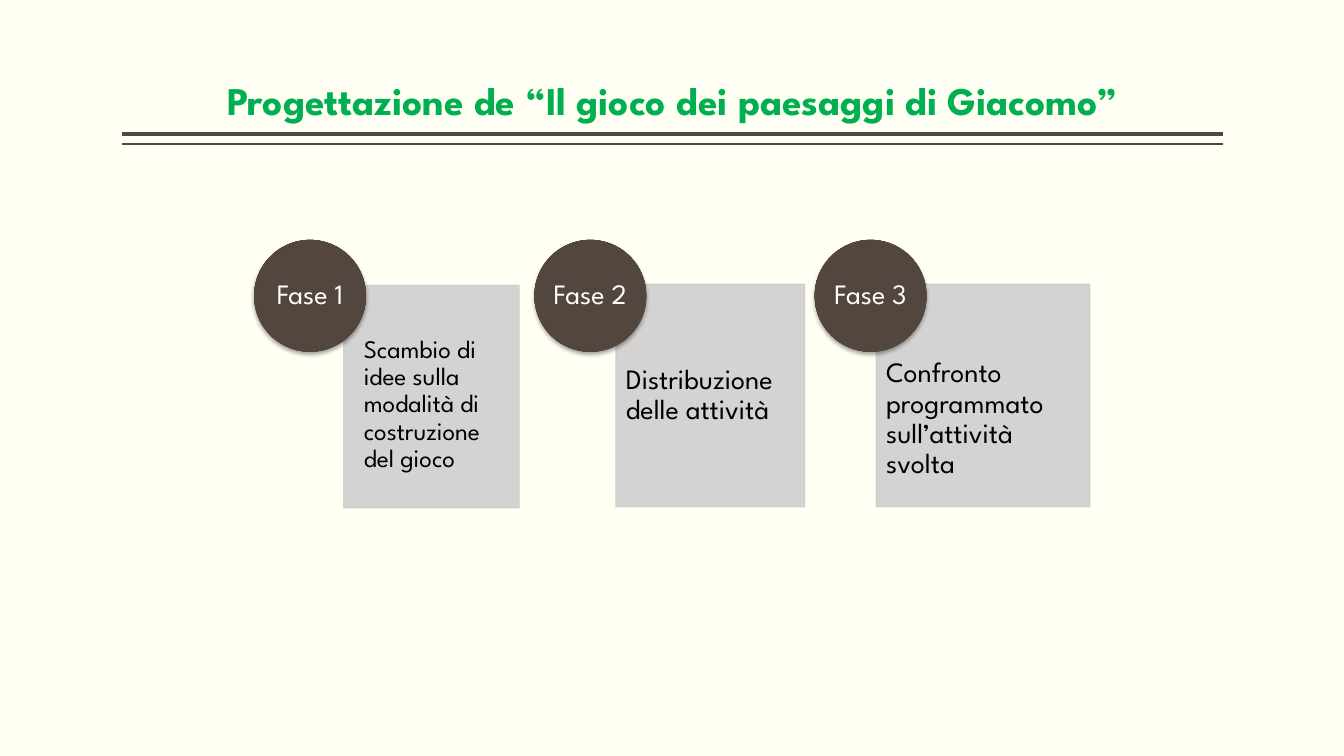
from lxml import etree
from pptx import Presentation
from pptx.dml.color import RGBColor
from pptx.enum.shapes import MSO_CONNECTOR, MSO_SHAPE
from pptx.enum.text import MSO_ANCHOR, MSO_AUTO_SIZE, PP_ALIGN
from pptx.oxml import parse_xml
from pptx.oxml.ns import qn
from pptx.util import Inches, Pt

RECT, OVAL = MSO_SHAPE.RECTANGLE, MSO_SHAPE.OVAL
LINE = MSO_CONNECTOR.STRAIGHT
TOP, MID, LOW = MSO_ANCHOR.TOP, MSO_ANCHOR.MIDDLE, MSO_ANCHOR.BOTTOM
LEFT, CENTER = PP_ALIGN.LEFT, PP_ALIGN.CENTER
FIXED = MSO_AUTO_SIZE.NONE

FONT = "League Spartan"
HUES = {"page": "FFFFF3", "title": "00B050", "rule": "514843", "card": "CFCECD",
        "text": "000000", "label": "FFFFFF", "shadow": "000000"}
SHADES = {0: "534740", 71: "52463F", 100: "493E37"}
NS = 'xmlns:a="http://schemas.openxmlformats.org/drawingml/2006/main"'


def rgb(name):
    return RGBColor.from_string(HUES[name])


def box(left, top, width, height):
    return [Inches(n) for n in (left, top, width, height)]


def write(shape, text, size, hue, align=LEFT, anchor=MID, pad=(0, 0),
          bold=False, before=0):
    frame = shape.text_frame
    side, edge = (Inches(n) for n in pad)
    looks = {"auto_size": FIXED, "word_wrap": True, "vertical_anchor": anchor,
             "margin_left": side, "margin_right": side,
             "margin_top": edge, "margin_bottom": edge}
    for key, value in looks.items():
        setattr(frame, key, value)
    para = frame.paragraphs[0]
    looks = {"alignment": align, "line_spacing": 0.9, "space_before": Pt(before)}
    for key, value in looks.items():
        setattr(para, key, value)
    run = para.add_run()
    run.text = text
    for key, value in {"name": FONT, "size": Pt(size), "bold": bold}.items():
        setattr(run.font, key, value)
    run.font.color.rgb = rgb(hue)


def add_rule(slide, y, weight):
    rule = slide.shapes.add_connector(
        LINE, Inches(12.13), Inches(y), Inches(1.21), Inches(y))
    rule.line.color.rgb = rgb("rule")
    rule.line.width = Pt(weight)
    etree.SubElement(rule._element.spPr, qn("a:effectLst"))


def add_card(slide, left, top, width):
    card = slide.shapes.add_shape(RECT, *box(left, top, width, 2.21))
    card.shadow.inherit = False
    card.fill.solid()
    card.fill.fore_color.rgb = rgb("card")
    card.line.color.rgb = rgb("card")
    card.line.width = Pt(0.75)
    # 89% opacity on fill and outline
    for hue in card._element.spPr.iter(qn("a:srgbClr")):
        etree.SubElement(hue, qn("a:alpha"), val="89000")
    return card


def add_disc(slide, left, text):
    disc = slide.shapes.add_shape(OVAL, *box(left, 2.38, 1.11, 1.11))
    disc.line.fill.background()
    disc.shadow.inherit = False
    props = disc._element.spPr
    # Radial fill
    stops = "".join(f'<a:gs pos="{pos * 1000}"><a:srgbClr val="{hue}"/></a:gs>'
                    for pos, hue in SHADES.items())
    props.find(qn("a:prstGeom")).addnext(parse_xml(
        f'<a:gradFill {NS}><a:gsLst>{stops}</a:gsLst><a:path path="circle">'
        '<a:fillToRect l="50000" t="50000" r="50000" b="50000"/>'
        '</a:path></a:gradFill>'))
    # Soft shadow below
    props.find(qn("a:effectLst")).append(parse_xml(
        f'<a:outerShdw {NS} blurRad="{Pt(3.1)}" dist="{Pt(2)}" dir="5400000" '
        f'rotWithShape="0"><a:srgbClr val="{HUES["shadow"]}">'
        '<a:alpha val="36000"/></a:srgbClr></a:outerShdw>'))
    write(disc, text, 20, "label", CENTER)


def add_note(slide, place, text, size):
    note = slide.shapes.add_textbox(*box(*place))
    write(note, text, size, "text", anchor=TOP, pad=(0.1, 0.05))


def main():
    deck = Presentation()
    deck.slide_width, deck.slide_height = Inches(13.33), Inches(7.5)
    slide = deck.slides.add_slide(deck.slide_layouts[5])
    slide.background.fill.solid()
    slide.background.fill.fore_color.rgb = rgb("page")

    # Title with double rule
    title = slide.shapes.title
    title.left, title.top, title.width, title.height = box(1.21, 0.08, 10.92, 1.2)
    write(title, "Progettazione de “Il gioco dei paesaggi di Giacomo”", 28,
          "title", CENTER, LOW, (0, 0.05), True)
    for y, weight in ((1.33, 3), (1.43, 1)):
        add_rule(slide, y, weight)

    # Cards
    add_card(slide, 3.41, 2.83, 1.74)
    middle = add_card(slide, 6.11, 2.82, 1.87)
    add_card(slide, 8.69, 2.82, 2.12)

    # Phase discs
    for i in range(3):
        add_disc(slide, 2.52 + 2.78 * i, f"Fase {i + 1}")

    # Card texts
    add_note(slide, (3.51, 3.29, 1.63, 1.77),
             "Scambio di idee sulla modalità di costruzione del gioco", 18)
    write(middle, "Distribuzione delle attività", 20, "text",
          pad=(0.1, 0.1), before=18)
    add_note(slide, (8.69, 3.51, 2.17, 1.31),
             "Confronto programmato sull’attività svolta", 20)

    deck.save("out.pptx")


if __name__ == "__main__":
    main()
